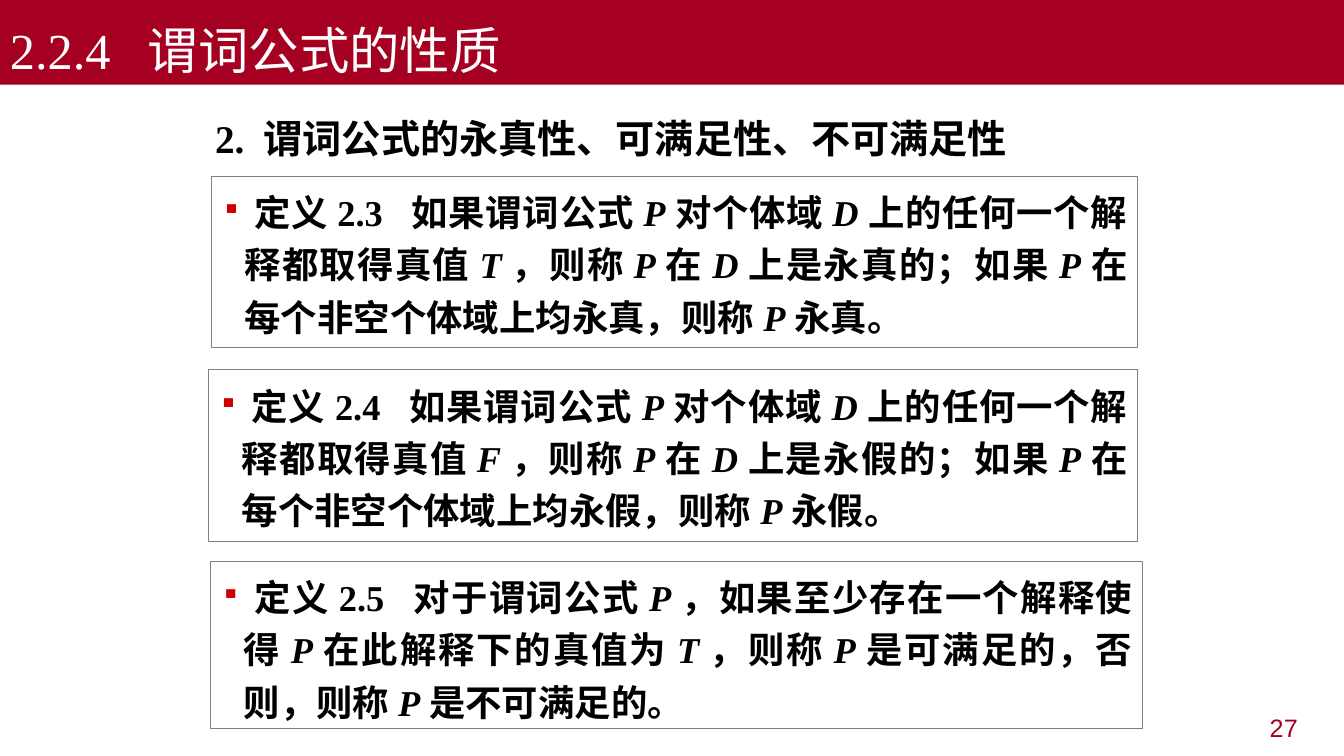
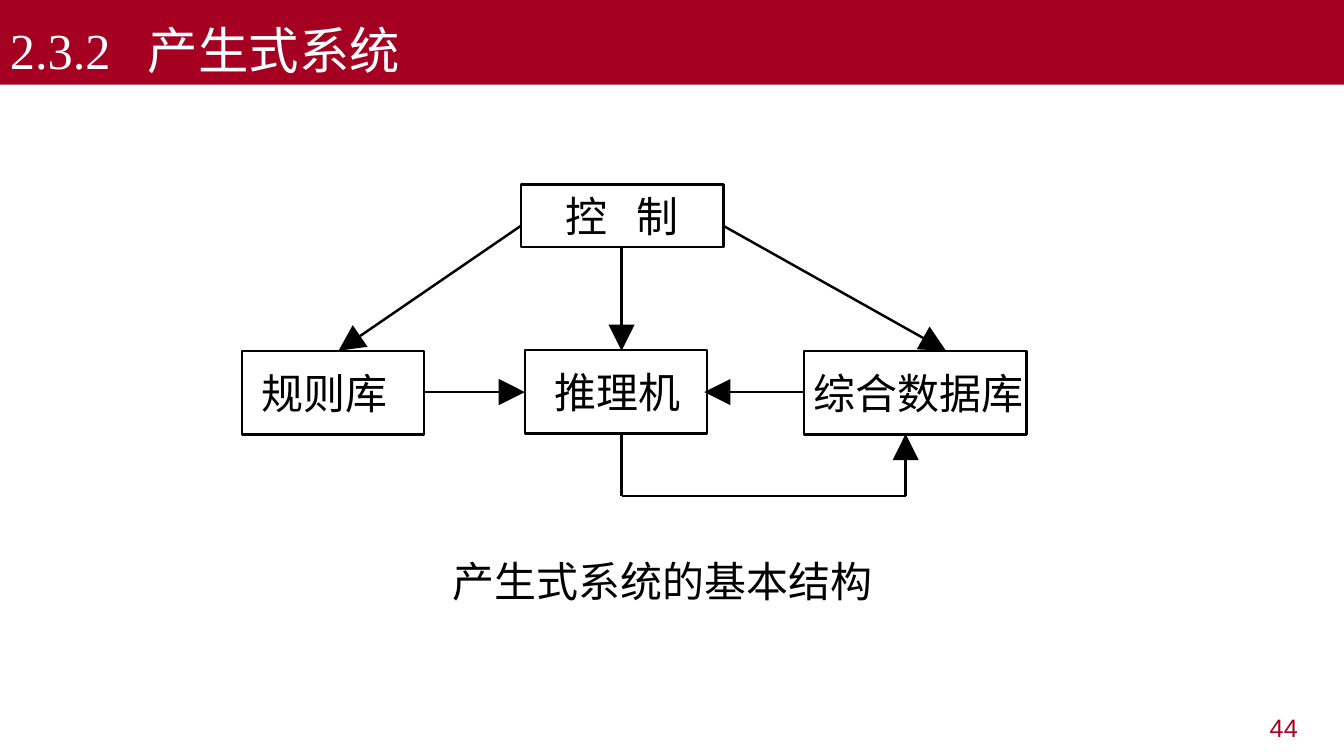
from dataclasses import dataclass
from math import hypot
from typing import Optional

from lxml.etree import SubElement
from pptx import Presentation
from pptx.dml.color import RGBColor
from pptx.enum.shapes import MSO_CONNECTOR, MSO_SHAPE
from pptx.enum.text import MSO_ANCHOR, PP_ALIGN
from pptx.oxml.ns import qn
from pptx.shapes.autoshape import Shape
from pptx.slide import Slide
from pptx.text.text import TextFrame
from pptx.util import Inches, Pt

SLIDE_WIDTH = Inches(13.34)
SLIDE_HEIGHT = Inches(7.5)

CRIMSON = RGBColor(0xA5, 0x00, 0x21)
BULLET_RED = RGBColor(0xCC, 0x00, 0x00)
GRAY = RGBColor(0x80, 0x80, 0x80)
BLACK = RGBColor(0x00, 0x00, 0x00)
WHITE = RGBColor(0xFF, 0xFF, 0xFF)

SERIF = "Times New Roman"
SANS = "Arial"
CHINESE = "Noto Sans CJK SC"

LINE_HEIGHT = 1.2
DIAGRAM_SIZE = 30
DIAGRAM_LINE = Pt(1.75)
HEAD_LENGTH = Inches(0.26)
HEAD_HALF_WIDTH = Inches(0.13)
HANGING_INDENT = Inches(0.23)

Point = tuple[float, float]


@dataclass(frozen=True)
class Area:
    """A rectangle in percent of the slide's width and height."""
    left: float
    top: float
    width: float
    height: float

    def lengths(self) -> tuple[int, int, int, int]:
        return (*to_length((self.left, self.top)), *to_length((self.width, self.height)))


@dataclass(frozen=True)
class Definition:
    area: Area
    text: str


@dataclass(frozen=True)
class Component:
    area: Area
    label: str
    label_inset: float


BAND = Area(0, 0, 100, 11.2)
PAGE_NUMBER = Area(73.99, 93.6, 23.31, 6.93)
HEADING = Area(14.54, 13.2, 70.84, 10.8)
CAPTION = Area(33.66, 73.47, 31.26, 6.67)

# In texts, *...* is italic and | is a widened space.
DEFINITIONS = [
    Definition(
        Area(15.74, 23.33, 68.89, 22.67),
        " 定义2.3|如果谓词公式*P*对个体域*D*上的任何一个解释都取得真值*T*，则称*P*在*D*"
        "上是永真的；如果*P*在每个非空个体域上均永真，则称*P*永真。"),
    Definition(
        Area(15.52, 48.93, 69.12, 22.67),
        " 定义2.4|如果谓词公式*P*对个体域*D*上的任何一个解释都取得真值*F*，则称*P*在*D*"
        "上是永假的；如果*P*在每个非空个体域上均永假，则称*P*永假。"),
    Definition(
        Area(15.67, 74.27, 69.34, 22.13),
        " 定义2.5|对于谓词公式*P*，如果至少存在一个解释使得*P*在此解释下的真值为*T*，"
        "则称*P*是可满足的，否则，则称*P*是不可满足的。"),
]

COMPONENTS = [
    Component(Area(38.76, 24.4, 15.07, 8.27), "控|制", 0.44),
    Component(Area(17.99, 46.4, 13.57, 11.07), "规则库", 0.2),
    Component(Area(39.06, 46.27, 13.57, 11.07), "推理机", 0.29),
    Component(Area(59.82, 46.4, 16.57, 11.07), "综合数据库", 0.1),
]

ARROWS: list[list[Point]] = [
    [(46.25, 32.67), (46.25, 46.4)],
    [(38.76, 29.87), (25.19, 46.4)],
    [(53.82, 29.87), (70.39, 46.4)],
    [(31.56, 51.87), (39.06, 51.87)],
    [(59.82, 51.87), (52.4, 51.87)],
    [(46.25, 57.33), (46.25, 65.6), (67.39, 65.6), (67.39, 57.4)],
]


def to_length(point: Point) -> tuple[int, int]:
    return round(SLIDE_WIDTH * point[0] / 100), round(SLIDE_HEIGHT * point[1] / 100)


def add_bullet(properties) -> None:
    """Give paragraph properties a small hanging red square."""
    properties.set("marL", str(HANGING_INDENT))
    properties.set("indent", str(-HANGING_INDENT))
    color = SubElement(properties, qn("a:buClr"))
    SubElement(color, qn("a:srgbClr"), val=str(BULLET_RED))
    SubElement(properties, qn("a:buSzPct"), val="75000")
    SubElement(properties, qn("a:buChar"), char="▪")


def write_text(frame: TextFrame, text: str, *, size: float, color: RGBColor = BLACK,
               font: str = SERIF, bold: bool = False, bullet: bool = False,
               align: PP_ALIGN = PP_ALIGN.LEFT, anchor: MSO_ANCHOR = MSO_ANCHOR.TOP,
               gap: Optional[float] = None, wrap: bool = True,
               insets: tuple[float, float] = (0.1, 0.05)) -> None:
    """Write one paragraph; gap is the extra width in points of a widened space."""
    frame.word_wrap = wrap
    frame.vertical_anchor = anchor
    frame.margin_left = frame.margin_right = Inches(insets[0])
    frame.margin_top = frame.margin_bottom = Inches(insets[1])
    paragraph = frame.paragraphs[0]
    paragraph_properties = paragraph._p.get_or_add_pPr()
    paragraph_properties.set("hangingPunct", "0")
    if bullet:
        add_bullet(paragraph_properties)
    paragraph.alignment = align
    paragraph.line_spacing = Pt(size * LINE_HEIGHT * (LINE_HEIGHT if bullet or bold else 1))

    def add_run(content: str, italic: bool = False, spacing: float = 0) -> None:
        run = paragraph.add_run()
        run.text = content
        run.font.name = font
        run.font.size = Pt(size)
        run.font.bold = bold
        run.font.italic = italic
        run.font.color.rgb = color
        properties = run.font._element
        if spacing:
            properties.set("spc", str(round(spacing * 100)))
        east_asian = SubElement(properties, qn("a:ea"), typeface=CHINESE)
        properties.find(qn("a:latin")).addnext(east_asian)

    for index, piece in enumerate(text.split("*")):
        for section_index, section in enumerate(piece.split("|")):
            if section_index:
                add_run(" ", spacing=size / 4 if gap is None else gap)
            if section:
                add_run(section, italic=index % 2 == 1)


def add_rectangle(slide: Slide, area: Area, *, fill: Optional[RGBColor] = None,
                  line: Optional[RGBColor] = None, line_width: int = Pt(0.75)) -> Shape:
    shape = slide.shapes.add_shape(MSO_SHAPE.RECTANGLE, *area.lengths())
    shape.shadow.inherit = False
    if fill is None:
        shape.fill.background()
    else:
        shape.fill.solid()
        shape.fill.fore_color.rgb = fill
    if line is None:
        shape.line.fill.background()
    else:
        shape.line.color.rgb = line
        shape.line.width = line_width
    return shape


def add_label(slide: Slide, area: Area, text: str, **text_format) -> None:
    write_text(slide.shapes.add_textbox(*area.lengths()).text_frame, text, **text_format)


def add_segment(slide: Slide, start: tuple[int, int], end: tuple[int, int]) -> None:
    connector = slide.shapes.add_connector(MSO_CONNECTOR.STRAIGHT, *start, *end)
    connector.line.color.rgb = BLACK
    connector.line.width = DIAGRAM_LINE
    SubElement(connector._element.spPr, qn("a:effectLst"))


def add_arrow(slide: Slide, points: list[Point]) -> None:
    """Draw straight segments through the points and a solid head at the last."""
    *corners, before, tip = [to_length(point) for point in points]
    distance = hypot(tip[0] - before[0], tip[1] - before[1])
    along_x, along_y = (tip[0] - before[0]) / distance, (tip[1] - before[1]) / distance
    base = (round(tip[0] - along_x * HEAD_LENGTH), round(tip[1] - along_y * HEAD_LENGTH))

    stops = [*corners, before, base]
    for start, end in zip(stops, stops[1:]):
        add_segment(slide, start, end)

    wings = [(round(base[0] - side * along_y * HEAD_HALF_WIDTH),
              round(base[1] + side * along_x * HEAD_HALF_WIDTH)) for side in (1, -1)]
    builder = slide.shapes.build_freeform(*tip)
    builder.add_line_segments(wings, close=True)
    head = builder.convert_to_shape()
    head.shadow.inherit = False
    head.fill.solid()
    head.fill.fore_color.rgb = BLACK
    head.line.fill.background()


def add_titled_slide(presentation, title: str, page: int) -> Slide:
    slide = presentation.slides.add_slide(presentation.slide_layouts[6])
    band = add_rectangle(slide, BAND, fill=CRIMSON)
    write_text(band.text_frame, title, size=36, color=WHITE, anchor=MSO_ANCHOR.BOTTOM)
    add_label(slide, PAGE_NUMBER, str(page), size=18, color=CRIMSON, font=SANS,
              align=PP_ALIGN.RIGHT)
    return slide


def add_definitions_slide(presentation) -> None:
    slide = add_titled_slide(presentation, "2.2.4|谓词公式的性质", 27)
    add_label(slide, HEADING, " 2. 谓词公式的永真性、可满足性、不可满足性", size=28, bold=True)
    for definition in DEFINITIONS:
        shape = add_rectangle(slide, definition.area, fill=WHITE, line=GRAY)
        write_text(shape.text_frame, definition.text, size=26, bold=True, bullet=True,
                   align=PP_ALIGN.JUSTIFY)


def add_structure_slide(presentation) -> None:
    slide = add_titled_slide(presentation, "2.3.2|产生式系统", 44)
    for component in COMPONENTS:
        shape = add_rectangle(slide, component.area, line=BLACK, line_width=DIAGRAM_LINE)
        write_text(shape.text_frame, component.label, size=DIAGRAM_SIZE, font=CHINESE,
                   anchor=MSO_ANCHOR.MIDDLE, gap=14, insets=(component.label_inset, 0))
        shape.text_frame.margin_right = 0
    for points in ARROWS:
        add_arrow(slide, points)
    add_label(slide, CAPTION, "产生式系统的基本结构", size=DIAGRAM_SIZE, font=CHINESE,
              wrap=False, insets=(0, 0))


def main() -> None:
    presentation = Presentation()
    presentation.slide_width = SLIDE_WIDTH
    presentation.slide_height = SLIDE_HEIGHT
    add_definitions_slide(presentation)
    add_structure_slide(presentation)
    presentation.save("out.pptx")


if __name__ == "__main__":
    main()
